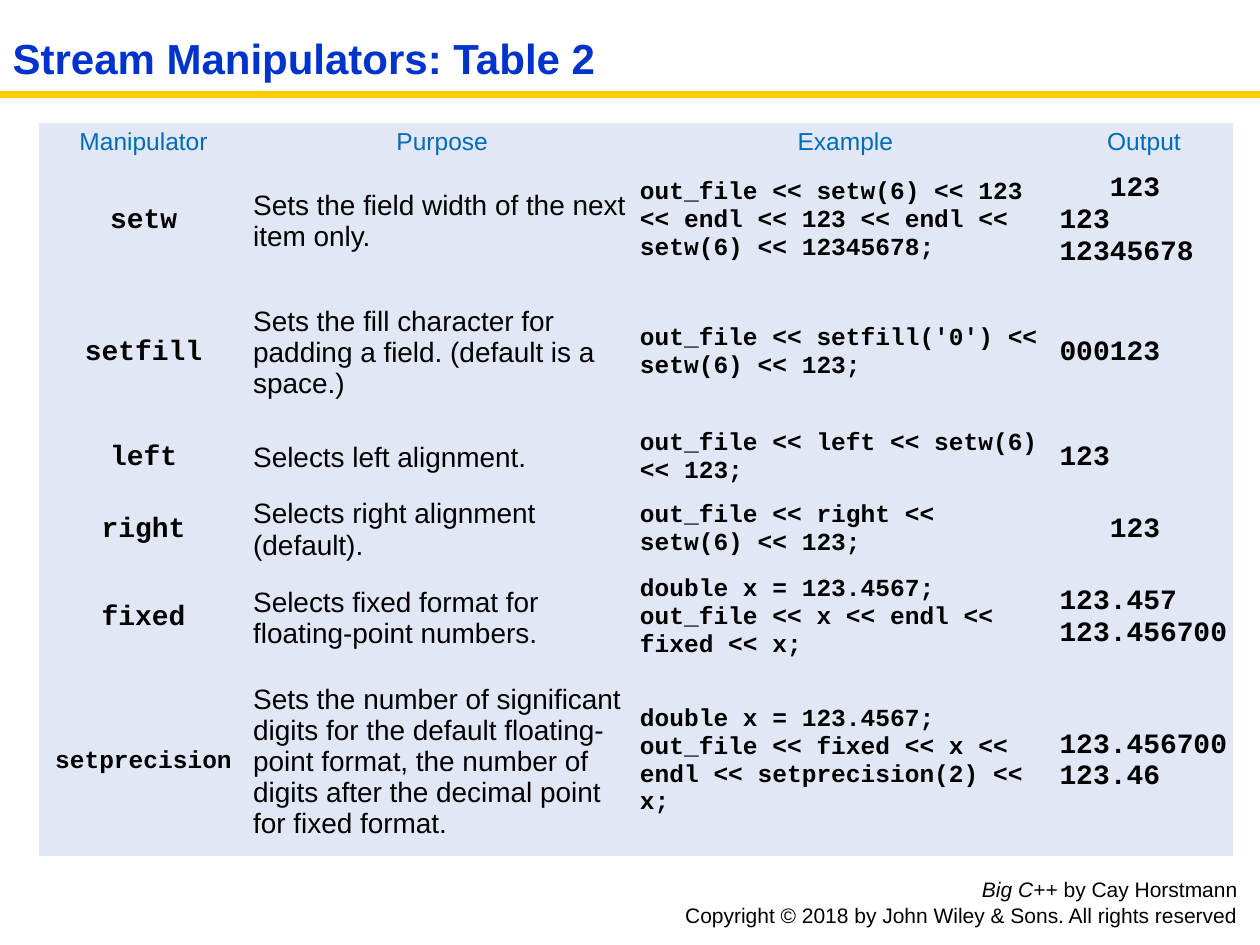
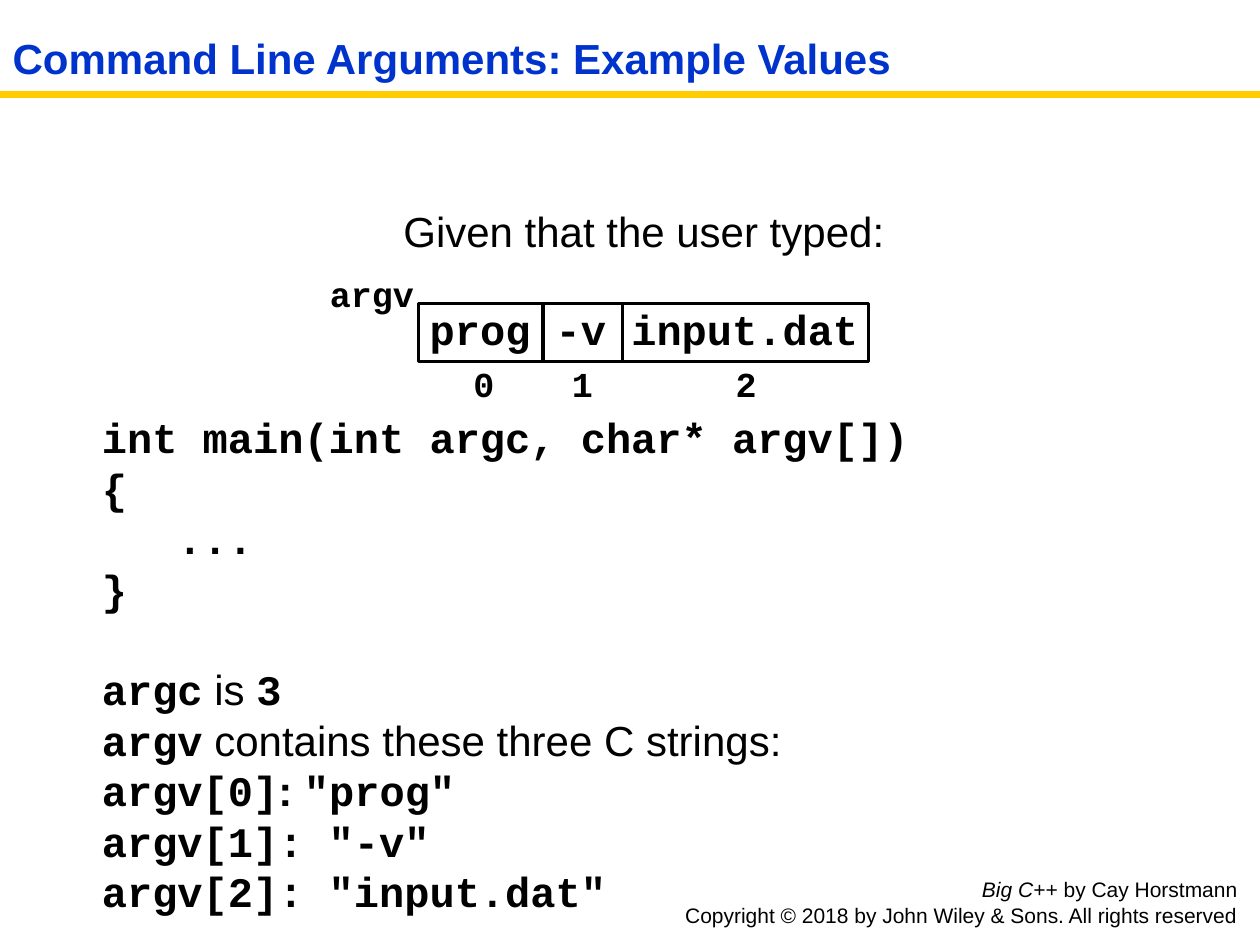
from itertools import accumulate

from pptx import Presentation
from pptx import util as u
from pptx.dml.color import RGBColor
from pptx.enum import shapes, text
from pptx.oxml.ns import qn

SANS, MONO = "Arial", "Courier New"
BLACK, TITLE_BLUE, HEAD_BLUE = "000000", "0033CC", "006CB7"
GOLD, CELL_FILL = "FFCC00", "E1E7F5"
LEFT, CENTER, RIGHT = text.PP_ALIGN.LEFT, text.PP_ALIGN.CENTER, text.PP_ALIGN.RIGHT
TITLE_ONLY, TITLE_AND_BODY = 5, 1
NO_GRID_STYLE = "{2D5ABB26-0587-4C30-8999-92F81FD0307C}"

HEADINGS = ["Manipulator", "Purpose", "Example", "Output"]
MANIPULATORS = [
    ("setw", "Sets the field width of the next item only.",
     "out_file << setw(6) << 123 << endl << 123 << endl << setw(6) << 12345678;",
     ["   123", "123", "12345678"]),
    ("setfill", "Sets the fill character for padding a field. (default is a space.)",
     "out_file << setfill('0') << setw(6) << 123;", ["000123"]),
    ("left", "Selects left alignment.",
     "out_file << left << setw(6) << 123;", ["123"]),
    ("right", "Selects right alignment (default).",
     "out_file << right << setw(6) << 123;", ["   123"]),
    ("fixed", "Selects fixed format for floating-point numbers.",
     "double x = 123.4567; out_file << x << endl << fixed << x;",
     ["123.457", "123.456700"]),
    ("setprecision",
     "Sets the number of significant digits for the default floating-point format, "
     "the number of digits after the decimal point for fixed format.",
     "double x = 123.4567; out_file << fixed << x << endl << setprecision(2) << x;",
     ["123.456700", "123.46"]),
]
COLUMN_WIDTHS = [1.67, 3.07, 3.33, 1.41]
ROW_HEIGHTS = [0.26, 0.96, 1.14, 0.43, 0.61, 0.79, 1.49]


def rgb(color):
    return RGBColor.from_string(color)


def inches(*lengths):
    return [u.Inches(n) for n in lengths]


def write(tf, paragraphs, align=LEFT, before=None, line=None, **base):
    """Fill a frame; a paragraph is a string or a list of (text, format) runs."""
    for i, runs in enumerate(paragraphs):
        p = tf.paragraphs[0] if i == 0 else tf.add_paragraph()
        p.alignment = align
        p.space_before = u.Pt((before or {}).get(i, 0))
        if line:
            p.line_spacing = u.Pt(line)
        for words, changes in [(runs, {})] if isinstance(runs, str) else runs:
            fmt = {"size": 24, "font": SANS, "color": BLACK,
                   "bold": False, "italic": False, **base, **changes}
            r = p.add_run()
            r.text = words
            r.font.name, r.font.size = fmt["font"], u.Pt(fmt["size"])
            r.font.bold, r.font.italic = fmt["bold"], fmt["italic"]
            r.font.color.rgb = rgb(fmt["color"])


def add_text(s, box, paragraphs, wrap=True, **fmt):
    tf = s.shapes.add_textbox(*inches(*box)).text_frame
    tf.word_wrap = wrap
    write(tf, paragraphs, **fmt)


def place(sp, box):
    sp.left, sp.top, sp.width, sp.height = inches(*box)
    sp.text_frame.auto_size = text.MSO_AUTO_SIZE.NONE
    return sp.text_frame


def add_slide(prs, layout, title):
    """Slide with the shared gold rule, copyright footer and title."""
    s = prs.slides.add_slide(prs.slide_layouts[layout])
    rule = s.shapes.add_connector(shapes.MSO_CONNECTOR.STRAIGHT,
                                  *inches(0, 0.75, 10, 0.75))
    rule.line.color.rgb, rule.line.width = rgb(GOLD), u.Pt(4.5)
    rule._element.spPr.append(rule._element.makeelement(qn("a:effectLst"), {}))
    add_text(s, (4.17, 6.91, 5.75, 0.42),
             [[("Big C++ ", {"italic": True}), ("by Cay Horstmann", {})],
              "Copyright © 2018 by John Wiley & Sons. All rights reserved"],
             align=RIGHT, size=12)
    tf = place(s.shapes.title, (0, 0.17, 9.63, 0.58))
    tf.vertical_anchor = text.MSO_ANCHOR.MIDDLE
    write(tf, [title], color=TITLE_BLUE, bold=True)
    return s


def fill_cell(cell, paragraphs, **fmt):
    cell.fill.solid()
    cell.fill.fore_color.rgb = rgb(CELL_FILL)
    cell.vertical_anchor = text.MSO_ANCHOR.MIDDLE
    cell.margin_left = cell.margin_top = cell.margin_bottom = u.Inches(0.03)
    cell.margin_right = u.Inches(0.04)
    write(cell.text_frame, paragraphs, **fmt)


def add_manipulator_table(s):
    table = s.shapes.add_table(len(ROW_HEIGHTS), len(COLUMN_WIDTHS), *inches(
        0.31, 0.98, sum(COLUMN_WIDTHS), sum(ROW_HEIGHTS))).table
    table._tbl.tblPr.find(qn("a:tableStyleId")).text = NO_GRID_STYLE
    for column, width in zip(table.columns, COLUMN_WIDTHS):
        column.width = u.Inches(width)
    for row, height in zip(table.rows, ROW_HEIGHTS):
        row.height = u.Inches(height)

    for col, heading in enumerate(HEADINGS):
        fill_cell(table.cell(0, col), [heading], align=CENTER, size=14, color=HEAD_BLUE)
    code = {"font": MONO, "bold": True}
    for row, (name, purpose, example, output) in enumerate(MANIPULATORS, 1):
        name_size = 14 if len(name) > 10 else 16
        fill_cell(table.cell(row, 0), [name], align=CENTER, size=name_size, **code)
        fill_cell(table.cell(row, 1), [purpose], size=16)
        fill_cell(table.cell(row, 2), [example], size=14, **code)
        fill_cell(table.cell(row, 3), output, size=16, **code)


def add_command_line(s):
    """Typed command in the body, with a numbered frame around each argument."""
    code = {"font": MONO, "bold": True}
    tf = place(s.placeholders[1], (0.4, 1.58, 9.42, 1.4))
    write(tf, ["Given that the user typed:", [("prog -v input.dat", code)]],
          align=CENTER, before={1: 27})
    for p in tf.paragraphs:
        pPr = p._p.get_or_add_pPr()
        pPr.set("marL", "0")
        pPr.set("indent", "0")
        pPr.append(pPr.makeelement(qn("a:buNone"), {}))

    widths = [0.99, 0.63, 1.95]
    lefts = accumulate(widths[:-1], initial=3.32)
    index_lefts = [3.66, 4.44, 5.74]
    for i, (left, width, index_left) in enumerate(zip(lefts, widths, index_lefts)):
        sp = s.shapes.add_shape(shapes.MSO_SHAPE.RECTANGLE,
                                *inches(left, 2.41, width, 0.46))
        sp.shadow.inherit = False
        sp.fill.background()
        sp.line.color.rgb, sp.line.width = rgb(BLACK), u.Pt(1.75)
        add_text(s, (index_left, 2.83, 0.34, 0.43), [str(i)], size=20, **code)
    add_text(s, (2.52, 2.11, 0.87, 0.43), ["argv"], wrap=False, size=20, **code)


def add_main_listing(s):
    plain = {"font": SANS, "bold": False}
    add_text(s, (0.71, 3.22, 6.81, 4.14), [
        "int main(int argc, char* argv[])",
        "{",
        "   ...",
        "}",
        [("argc", {}), (" is ", plain), ("3", {})],
        [("argv", {}), (" contains these three C strings:", plain)],
        [("argv[0]", {}), (": ", {"font": SANS}), ('"prog"', {})],
        'argv[1]: "-v"',
        'argv[2]: "input.dat"',
    ], before={4: 28.8}, line=28.8, font=MONO, bold=True)


def main():
    prs = Presentation()
    prs.slide_width, prs.slide_height = inches(10, 7.5)

    s = add_slide(prs, TITLE_ONLY, "Stream Manipulators: Table 2")
    add_manipulator_table(s)

    s = add_slide(prs, TITLE_AND_BODY, "Command Line Arguments: Example Values")
    add_command_line(s)
    add_main_listing(s)

    prs.save("out.pptx")


if __name__ == "__main__":
    main()
